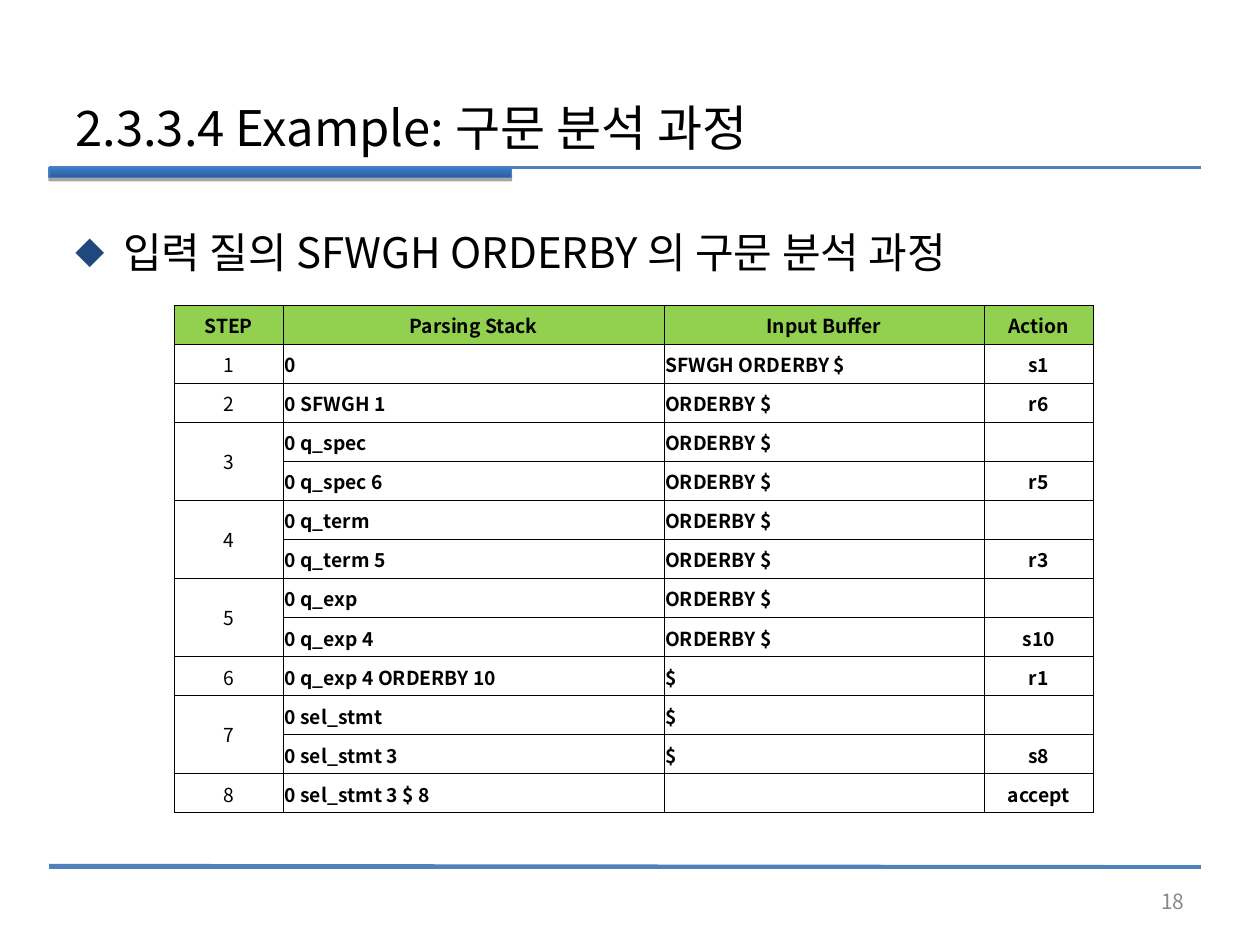
from lxml.etree import SubElement
from pptx import Presentation
from pptx.dml.color import RGBColor
from pptx.enum.shapes import MSO_CONNECTOR, MSO_SHAPE
from pptx.enum.text import MSO_ANCHOR, PP_ALIGN
from pptx.oxml import parse_xml
from pptx.oxml.ns import nsdecls, qn
from pptx.util import Inches, Pt

BLACK = RGBColor(0x00, 0x00, 0x00)
GRAY = RGBColor(0x89, 0x89, 0x89)
RULE_BLUE = RGBColor(0x4F, 0x81, 0xBD)
BAR_EDGE = RGBColor(0x4A, 0x7E, 0xBB)
BAR_DARK = RGBColor(0x2C, 0x5D, 0x98)
BAR_LIGHT = RGBColor(0x3A, 0x7C, 0xCB)
BULLET_BLUE = RGBColor(0x1F, 0x49, 0x7D)
HEADER_GREEN = RGBColor(0x92, 0xD0, 0x50)

HEADERS = ("STEP", "Parsing Stack", "Input Buffer", "Action")
# A row with an empty step belongs to the step above it.
PARSING_STEPS = [
    ("1", "0", "SFWGH ORDERBY $", "s1"),
    ("2", "0 SFWGH 1", "ORDERBY $", "r6"),
    ("3", "0 q_spec", "ORDERBY $", ""),
    ("", "0 q_spec 6", "ORDERBY $", "r5"),
    ("4", "0 q_term", "ORDERBY $", ""),
    ("", "0 q_term 5", "ORDERBY $", "r3"),
    ("5", "0 q_exp", "ORDERBY $", ""),
    ("", "0 q_exp 4", "ORDERBY $", "s10"),
    ("6", "0 q_exp 4 ORDERBY 10", "$", "r1"),
    ("7", "0 sel_stmt", "$", ""),
    ("", "0 sel_stmt 3", "$", "s8"),
    ("8", "0 sel_stmt 3 $ 8", "", "accept"),
]
COLUMN_WIDTHS = (0.87, 3.02, 2.54, 0.87)
ROW_HEIGHT = 0.31


class SlideBuilder:
    font_name = "Noto Sans CJK KR"

    def __init__(self, slide):
        self.slide = slide

    def format_paragraph(self, paragraph, size, color=BLACK, bold=False, align=PP_ALIGN.LEFT):
        paragraph.alignment = align
        for run in paragraph.runs:
            run.font.size = Pt(size)
            run.font.bold = bold
            run.font.color.rgb = color
            run.font.name = self.font_name
            east_asian = SubElement(run.font._element, qn("a:ea"))
            east_asian.set("typeface", self.font_name)
        if not paragraph.runs:
            end_properties = SubElement(paragraph._p, qn("a:endParaRPr"))
            end_properties.set("sz", str(size * 100))
            for tag in ("a:latin", "a:ea"):
                SubElement(end_properties, qn(tag)).set("typeface", self.font_name)

    def text(self, text, left, top, width, height, size, anchor=MSO_ANCHOR.MIDDLE, **style):
        box = self.slide.shapes.add_textbox(
            Inches(left), Inches(top), Inches(width), Inches(height))
        frame = box.text_frame
        frame.word_wrap = True
        frame.vertical_anchor = anchor
        frame.text = text
        self.format_paragraph(frame.paragraphs[0], size, **style)
        return frame.paragraphs[0]

    def bullet(self, paragraph, indent):
        properties = paragraph._p.get_or_add_pPr()
        properties.set("marL", str(Inches(indent)))
        properties.set("indent", str(-Inches(indent)))
        color = SubElement(properties, qn("a:buClr"))
        SubElement(color, qn("a:srgbClr")).set("val", str(BULLET_BLUE))
        SubElement(properties, qn("a:buSzPct")).set("val", "70000")
        SubElement(properties, qn("a:buFont")).set("typeface", self.font_name)
        SubElement(properties, qn("a:buChar")).set("char", "◆")

    def rule(self, start_y, end_y):
        """Draw a line across the slide, from margin to margin."""
        line = self.slide.shapes.add_connector(
            MSO_CONNECTOR.STRAIGHT,
            Inches(0.39), Inches(start_y), Inches(9.53), Inches(end_y))
        line.line.color.rgb = RULE_BLUE
        line.line.width = Pt(2)
        SubElement(line._element.spPr, qn("a:effectLst"))

    def gradient_bar(self, left, top, width, height):
        bar = self.slide.shapes.add_shape(
            MSO_SHAPE.RECTANGLE,
            Inches(left), Inches(top), Inches(width), Inches(height))
        bar.fill.gradient()
        bar.fill.gradient_angle = 90
        for stop, color, position in zip(
                bar.fill.gradient_stops, (BAR_DARK, BAR_LIGHT), (0, 1)):
            stop.color.rgb = color
            stop.position = position
        bar.line.color.rgb = BAR_EDGE
        bar.line.width = Pt(0.75)
        bar.shadow.inherit = False
        bar._element.spPr.find(qn("a:effectLst")).append(parse_xml(
            f'<a:outerShdw {nsdecls("a")} blurRad="0" dist="{Pt(1.8)}" dir="5400000" '
            'rotWithShape="0"><a:srgbClr val="000000"><a:alpha val="35000"/>'
            '</a:srgbClr></a:outerShdw>'))

    def cell_borders(self, cell):
        properties = cell._tc.get_or_add_tcPr()
        for side in ("lnL", "lnR", "lnT", "lnB"):
            border = SubElement(properties, qn(f"a:{side}"))
            border.set("w", str(Pt(0.23)))
            fill = SubElement(border, qn("a:solidFill"))
            SubElement(fill, qn("a:srgbClr")).set("val", str(BLACK))

    def table(self, left, top, rows, column_widths, row_height):
        table = self.slide.shapes.add_table(
            len(rows), len(column_widths), Inches(left), Inches(top),
            Inches(sum(column_widths)), Inches(row_height * len(rows))).table
        table.first_row = table.horz_banding = False
        for column, width in zip(table.columns, column_widths):
            column.width = Inches(width)
        for row_index, values in enumerate(rows):
            table.rows[row_index].height = Inches(row_height)
            for column_index, value in enumerate(values):
                is_header = row_index == 0
                cell = table.cell(row_index, column_index)
                cell.margin_left = cell.margin_right = Inches(0.01)
                cell.vertical_anchor = MSO_ANCHOR.MIDDLE
                self.cell_borders(cell)
                if is_header:
                    cell.fill.solid()
                    cell.fill.fore_color.rgb = HEADER_GREEN
                else:
                    cell.fill.background()
                cell.text_frame.text = value
                centered = is_header or column_index in (0, 3)
                self.format_paragraph(
                    cell.text_frame.paragraphs[0], 11,
                    bold=is_header or column_index > 0,
                    align=PP_ALIGN.CENTER if centered else PP_ALIGN.LEFT)
            if not values[0]:
                table.cell(row_index - 1, 0).merge(table.cell(row_index, 0))


def main():
    presentation = Presentation()
    presentation.slide_width = Inches(10)
    presentation.slide_height = Inches(7.5)
    builder = SlideBuilder(presentation.slides.add_slide(presentation.slide_layouts[6]))

    builder.rule(6.88, 6.88)
    builder.rule(1.33, 1.33)
    builder.gradient_bar(0.39, 1.33, 3.67, 0.08)
    builder.rule(6.87, 6.88)

    builder.text("2.3.3.4 Example: 구문 분석 과정", 0.5, 0.7, 9, 0.62, 28)
    query = builder.text("입력 질의 SFWGH ORDERBY 의 구문 분석 과정",
                         0.5, 1.75, 9, 0.67, 24, anchor=MSO_ANCHOR.TOP)
    builder.bullet(query, 0.38)
    builder.table(1.38, 2.42, [HEADERS, *PARSING_STEPS], COLUMN_WIDTHS, ROW_HEIGHT)
    builder.text("18", 7.17, 6.95, 2.33, 0.4, 12, color=GRAY, align=PP_ALIGN.RIGHT)

    presentation.save("out.pptx")


if __name__ == "__main__":
    main()
